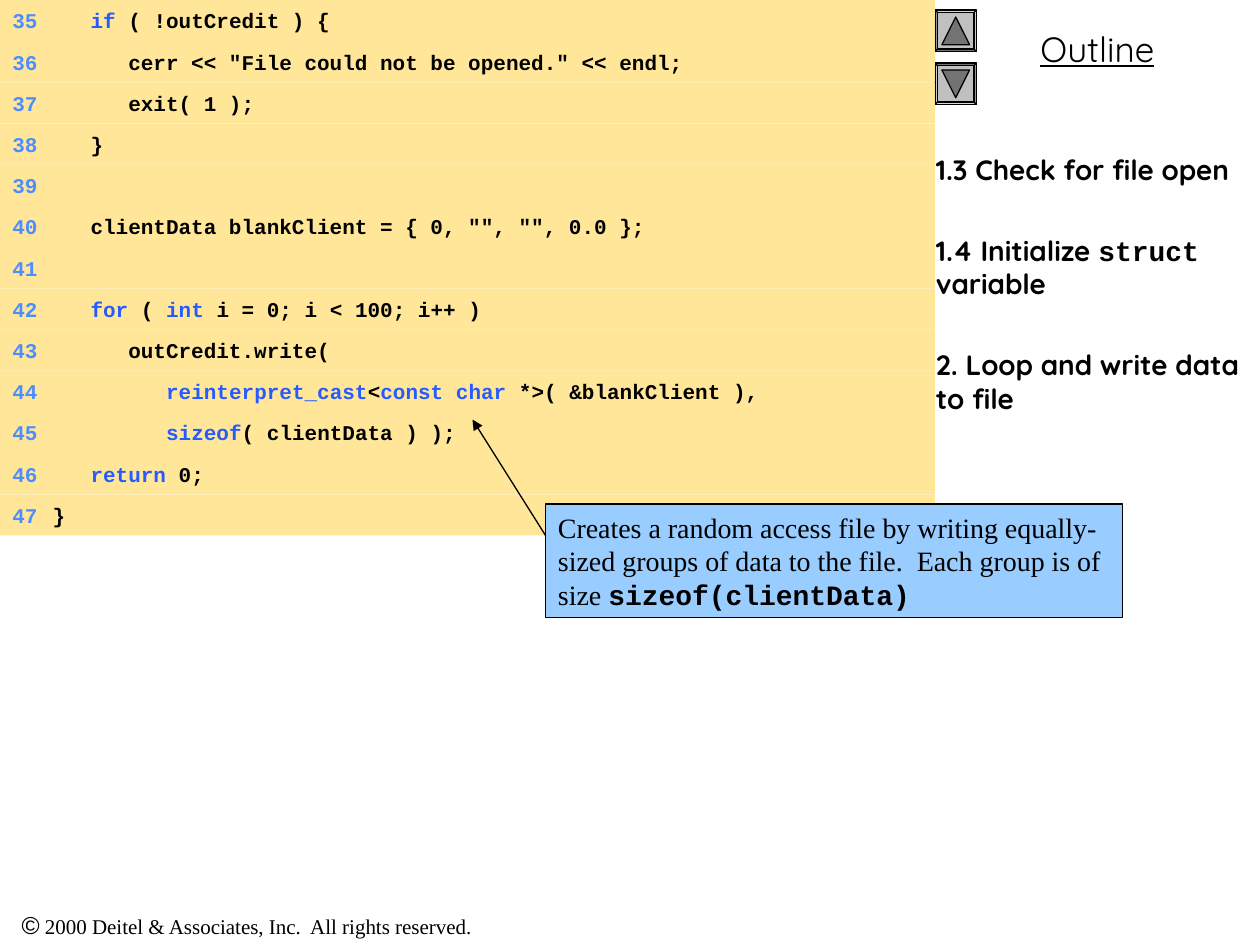
from lxml import etree
from pptx import Presentation
from pptx.dml.color import RGBColor
from pptx.enum.shapes import MSO_CONNECTOR, MSO_SHAPE
from pptx.enum.text import MSO_ANCHOR, PP_ALIGN
from pptx.oxml.ns import qn
from pptx.util import Inches, Pt

RECT, BEVEL, TRIANGLE = MSO_SHAPE.RECTANGLE, MSO_SHAPE.BEVEL, MSO_SHAPE.ISOSCELES_TRIANGLE
STRAIGHT = MSO_CONNECTOR.STRAIGHT
TOP, MIDDLE = MSO_ANCHOR.TOP, MSO_ANCHOR.MIDDLE
LEFT, CENTER = PP_ALIGN.LEFT, PP_ALIGN.CENTER

SANS, SERIF, MONO = "Quicksand", "Times New Roman", "Courier New"
BLACK, NUMBER, KEYWORD = "000000", "4D8DFF", "275AFF"
FIRST_LINE = 35
# Keywords stand between backticks
CODE = [
    "   `if` ( !outCredit ) {",
    '      cerr << "File could not be opened." << endl;',
    "      exit( 1 );",
    "   }",
    "",
    '   clientData blankClient = { 0, "", "", 0.0 };',
    "",
    "   `for` ( `int` i = 0; i < 100; i++ )",
    "      outCredit.write(",
    "         `reinterpret_cast`<`const char` *>( &blankClient ),",
    "         `sizeof`( clientData ) );",
    "   `return` 0;",
    "}",
]
NOTES = [
    [("1.3 Check for file open", SANS)],
    [("1.4 Initialize ", SANS), ("struct ", MONO), ("variable", SANS)],
    [("2. Loop and write data to file", SANS)],
]


def rgb(value):
    return RGBColor.from_string(value)


def set_font(font, name=None, size=None, color=None, bold=None):
    if name:
        font.name = name
    if size:
        font.size = Pt(size)
    if color:
        font.color.rgb = rgb(color)
    if bold is not None:
        font.bold = bold


def add_run(p, text, **font):
    r = p.add_run()
    r.text = text
    set_font(r.font, **font)
    return r


def add_box(slide, shape, box, fill, line=None):
    sp = slide.shapes.add_shape(shape, *map(Inches, box))
    sp.shadow.inherit = False
    sp.fill.solid()
    sp.fill.fore_color.rgb = rgb(fill)
    if line:
        sp.line.color.rgb = rgb(line)
        sp.line.width = Pt(0.75)
    else:
        sp.line.fill.background()
    return sp


def add_text_box(slide, box):
    tf = slide.shapes.add_textbox(*map(Inches, box)).text_frame
    tf.word_wrap = True
    return tf


def add_tabs(p, stops):
    tabs = etree.SubElement(p._p.get_or_add_pPr(), qn("a:tabLst"))
    for position, align in stops:
        etree.SubElement(tabs, qn("a:tab"), pos=str(Inches(position)), algn=align)


def add_title(slide, box):
    title = slide.shapes.title
    title.left, title.top, title.width, title.height = map(Inches, box)
    tf = title.text_frame
    tf.text = "Outline"
    tf.vertical_anchor = TOP
    p = tf.paragraphs[0]
    p.alignment = CENTER
    set_font(p.font, SANS, 20, BLACK, False)
    p.font.underline = True


def add_code(slide, box):
    left, top, width, height = box
    row = height / len(CODE)
    for i, line in enumerate(CODE):
        sp = add_box(slide, RECT, (left, top + i * row, width, row), "FFE699")
        tf = sp.text_frame
        tf.vertical_anchor = MIDDLE
        p = tf.paragraphs[0]
        p.alignment = LEFT
        add_tabs(p, [(0, "l"), (0.15, "r"), (0.32, "l")])
        set_font(p.font, MONO, 12, bold=True)
        add_run(p, f"\t{FIRST_LINE + i}\t", color=NUMBER)
        for k, part in enumerate(line.split("`")):
            if part:
                add_run(p, part, color=KEYWORD if k % 2 else BLACK)


def add_button(slide, box, bevel_turn, arrow_turn):
    left, top, side, _ = box
    frame = add_box(slide, BEVEL, box, "C0C0C0", BLACK)
    frame.adjustments[0] = 0.06
    frame.rotation = bevel_turn
    gap, size = (side - 0.22) / 2, 0.22
    arrow = add_box(slide, TRIANGLE, (left + gap, top + gap, size, size), "737373", BLACK)
    arrow.rotation = arrow_turn


def add_notes(slide, box):
    tf = add_text_box(slide, box)
    for i, parts in enumerate(NOTES):
        p = tf.paragraphs[0] if i == 0 else tf.add_paragraph()
        if i:
            p.space_before = Pt(27)
        set_font(p.font, size=16, color=BLACK, bold=True)
        for text, name in parts:
            add_run(p, text, name=name)


def add_callout(slide, box, target):
    sp = add_box(slide, RECT, box, "99CCFF", BLACK)
    tf = sp.text_frame
    tf.word_wrap = True
    tf.vertical_anchor = TOP
    p = tf.paragraphs[0]
    p.alignment = LEFT
    set_font(p.font, size=16, color=BLACK)
    add_run(p, "Creates a random access file by writing equally-sized groups "
               "of data to the file.  Each group is of size ", name=SERIF)
    add_run(p, "sizeof(clientData)", name=MONO, bold=True)

    # Arrow to the code
    start = (box[0], box[1] + 0.25)
    arrow = slide.shapes.add_connector(STRAIGHT, *map(Inches, start + target))
    arrow.line.color.rgb = rgb(BLACK)
    arrow.line.width = Pt(0.75)
    etree.SubElement(arrow.line._get_or_add_ln(), qn("a:tailEnd"), type="triangle")
    etree.SubElement(arrow._element.spPr, qn("a:effectLst"))


def add_footer(slide, box):
    p = add_text_box(slide, box).paragraphs[0]
    p.alignment = CENTER
    set_font(p.font, color=BLACK)
    add_run(p, "©", name="Arial", size=14)
    add_run(p, " 2000 Deitel & Associates, Inc.  All rights reserved.", name=SERIF, size=12)


def main():
    prs = Presentation()
    prs.slide_width, prs.slide_height = Inches(10), Inches(7.5)
    slide = prs.slides.add_slide(prs.slide_layouts[5])
    add_footer(slide, (0, 7.17, 3.92, 0.34))
    add_title(slide, (7.42, 0.17, 2.58, 0.44))
    # Up and down buttons
    add_button(slide, (7.42, 0.08, 0.33, 0.33), 90, 0)
    add_button(slide, (7.42, 0.5, 0.33, 0.33), 270, 180)
    add_notes(slide, (7.33, 1.16, 2.67, 2.3))
    add_code(slide, (0, 0, 7.42, 4.25))
    add_callout(slide, (4.33, 4, 4.58, 0.9), (3.75, 3.33))
    prs.save("out.pptx")


if __name__ == "__main__":
    main()
